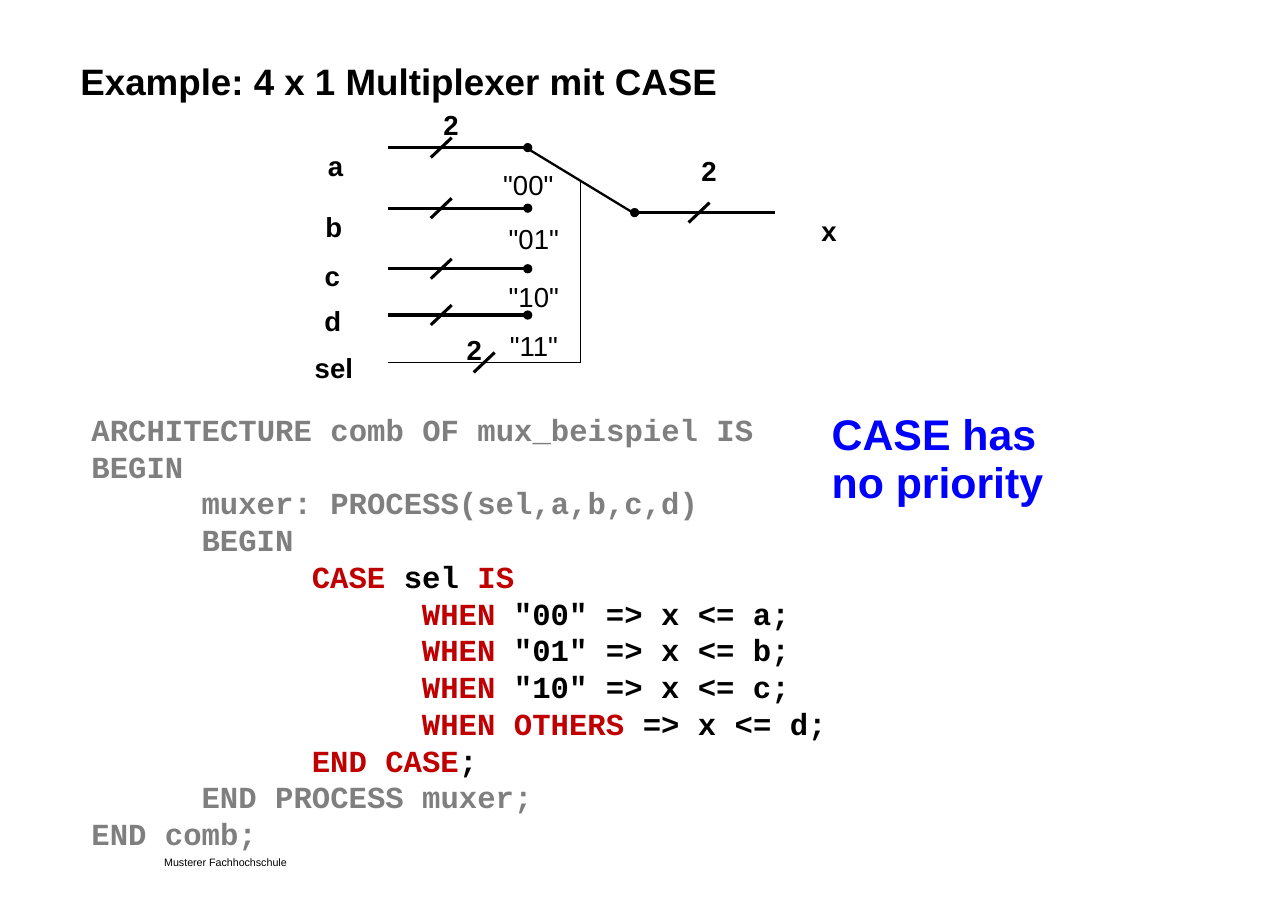
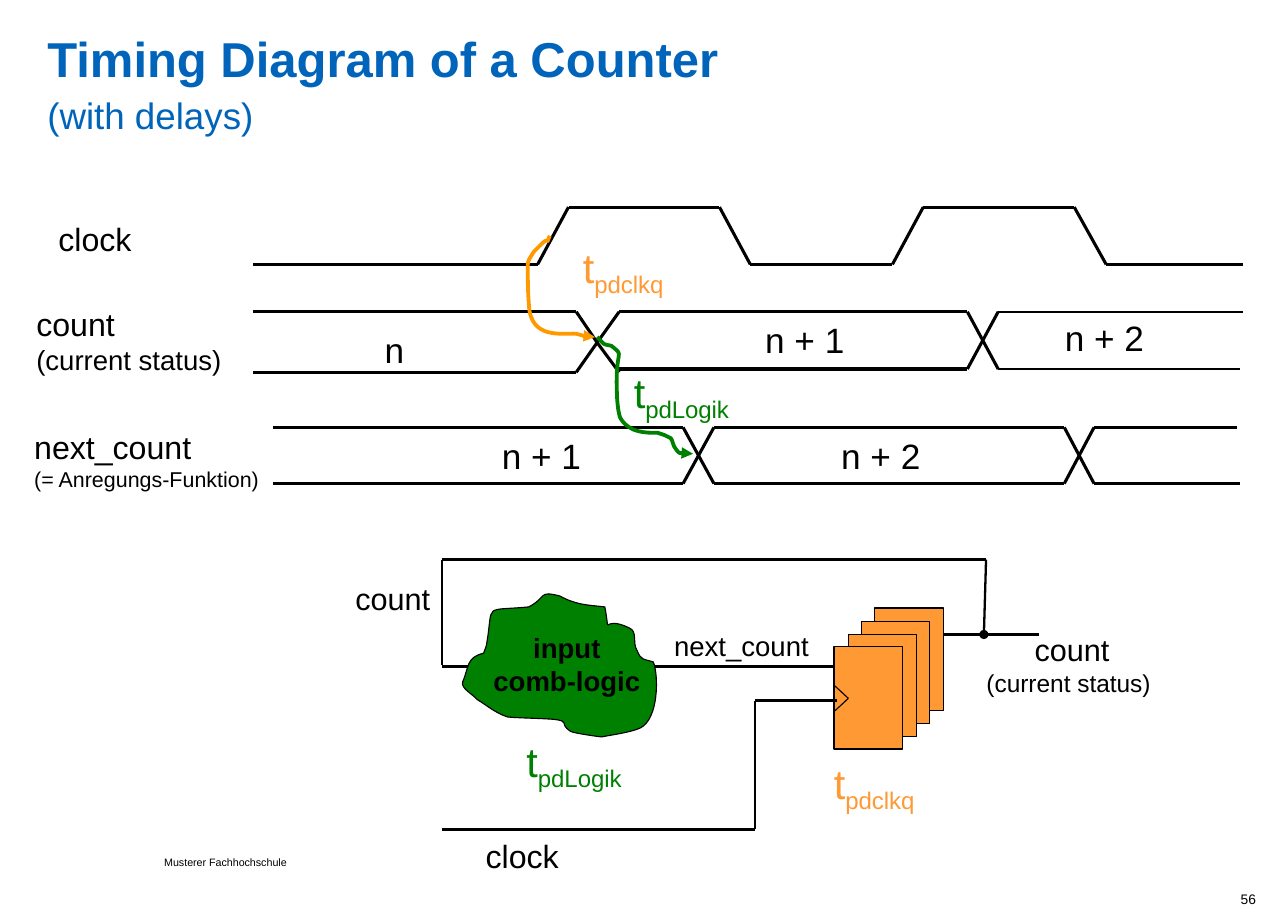
"""Build two lecture slides: a CASE multiplexer and a counter timing diagram."""
from dataclasses import dataclass
from itertools import pairwise
from typing import Optional

from lxml.etree import SubElement
from pptx import Presentation
from pptx.dml.color import RGBColor
from pptx.enum.shapes import MSO_CONNECTOR, MSO_SHAPE
from pptx.enum.text import MSO_ANCHOR, MSO_AUTO_SIZE, PP_ALIGN
from pptx.oxml.ns import qn
from pptx.presentation import Presentation as Deck
from pptx.shapes.base import BaseShape
from pptx.slide import Slide
from pptx.util import Inches, Pt

BLACK = RGBColor(0x00, 0x00, 0x00)
GRAY = RGBColor(0x7F, 0x7F, 0x7F)
RED = RGBColor(0xC0, 0x00, 0x00)
BLUE = RGBColor(0x00, 0x00, 0xFF)
TITLE_BLUE = RGBColor(0x00, 0x64, 0xBA)
GREEN = RGBColor(0x00, 0x80, 0x00)
ORANGE = RGBColor(0xFF, 0x99, 0x33)
ARROW_ORANGE = RGBColor(0xFF, 0x99, 0x00)

SANS = "Arial"
MONO = "Courier New"
LEFT, CENTER, RIGHT = PP_ALIGN.LEFT, PP_ALIGN.CENTER, PP_ALIGN.RIGHT
NO_INSET = (0, 0)
DEFAULT_INSET = (0.1, 0.05)

Point = tuple[float, float]
Box = tuple[float, float, float, float]
Curve = tuple[float, float, float, float, float, float]


@dataclass(frozen=True)
class Span:
    """A piece of text with one format; line ends split it."""
    text: str
    size: float
    color: RGBColor = BLACK
    bold: bool = False
    subscript: bool = False
    font: str = SANS


@dataclass(frozen=True)
class Label:
    """A text box."""
    box: Box
    spans: tuple[Span, ...]
    align: PP_ALIGN = CENTER
    spacing: Optional[float] = None
    wrap: bool = True
    grow: bool = True
    inset: Point = (0.11, 0.06)
    tabs: tuple[float, ...] = ()


@dataclass(frozen=True)
class Bus:
    """A bus waveform whose rails cross at each change of value."""
    top: float
    first_bottom: float
    bottom: float
    start: float
    crossings: tuple[Point, ...]
    ends: Point
    hub: Optional[Point] = None


def draw_label(slide: Slide, label: Label) -> None:
    """Draw a text box and format its runs."""
    shape = slide.shapes.add_textbox(*map(Inches, label.box))
    frame = shape.text_frame
    frame.word_wrap = label.wrap
    frame.auto_size = MSO_AUTO_SIZE.SHAPE_TO_FIT_TEXT if label.grow else MSO_AUTO_SIZE.NONE
    frame.vertical_anchor = MSO_ANCHOR.TOP
    frame.margin_left = frame.margin_right = Inches(label.inset[0])
    frame.margin_top = frame.margin_bottom = Inches(label.inset[1])
    paragraph = frame.paragraphs[0]
    paragraph.alignment = label.align
    if label.spacing:
        paragraph.line_spacing = Pt(label.spacing)
    if label.tabs:
        tab_list = SubElement(paragraph._p.get_or_add_pPr(), qn("a:tabLst"))
        for tab in label.tabs:
            SubElement(tab_list, qn("a:tab"), pos=str(Inches(tab)), algn="l")
    for span in label.spans:
        for index, line in enumerate(span.text.split("\n")):
            if index:
                paragraph.add_line_break()
            if not line:
                continue
            run = paragraph.add_run()
            run.text = line
            run.font.name = span.font
            run.font.size = Pt(span.size)
            run.font.bold = span.bold
            run.font.color.rgb = span.color
            if span.subscript:
                run._r.get_or_add_rPr().set("baseline", "-25000")


def style_line(shape: BaseShape, width: float, color: RGBColor = BLACK,
               head: str = "", tail: str = "") -> None:
    """Set colour, width and end marks of a line."""
    shape.line.color.rgb = color
    shape.line.width = Pt(width)
    for tag, kind in (("a:headEnd", head), ("a:tailEnd", tail)):
        if kind:
            SubElement(shape.line._get_or_add_ln(), qn(tag)).set("type", kind)


def draw_line(slide: Slide, start: Point, end: Point, width: float = 2,
              head: str = "", tail: str = "") -> None:
    """Draw a straight line."""
    connector = slide.shapes.add_connector(
        MSO_CONNECTOR.STRAIGHT, *map(Inches, (*start, *end)))
    style_line(connector, width, head=head, tail=tail)
    SubElement(connector._element.spPr, qn("a:effectLst"))


def draw_polyline(slide: Slide, points: tuple[Point, ...], width: float = 2) -> None:
    """Join points by straight lines."""
    for start, end in pairwise(points):
        draw_line(slide, start, end, width)


def draw_slash(slide: Slide, x: float, y: float) -> None:
    """Mark a wire as a bus with a slash."""
    draw_line(slide, (x + 0.09, y - 0.09), (x - 0.1, y + 0.09))


def draw_curve(slide: Slide, start: Point, curves: tuple[Curve, ...],
               closed: bool = False) -> BaseShape:
    """Draw an outline and bend its segments into cubic curves."""
    builder = slide.shapes.build_freeform(Inches(start[0]), Inches(start[1]))
    builder.add_line_segments([(Inches(curve[4]), Inches(curve[5])) for curve in curves],
                              close=closed)
    shape = builder.convert_to_shape()
    shape.shadow.inherit = False
    segments = list(shape._element.iter(qn("a:lnTo")))
    for segment, curve in zip(segments, curves):
        bend = segment.makeelement(qn("a:cubicBezTo"))
        for x, y in zip(curve[::2], curve[1::2]):
            SubElement(bend, qn("a:pt"), x=str(Inches(x) - shape.left),
                       y=str(Inches(y) - shape.top))
        segment.getparent().replace(segment, bend)
    return shape


def draw_arrow(slide: Slide, start: Point, curves: tuple[Curve, ...],
               color: RGBColor) -> None:
    """Draw a curved arrow."""
    arrow = draw_curve(slide, start, curves)
    arrow.fill.background()
    style_line(arrow, 2.5, color, tail="triangle")


def draw_bus(slide: Slide, bus: Bus) -> None:
    """Draw the rails and crossings of a bus waveform."""
    start, bottom, hub = bus.start, bus.first_bottom, bus.hub
    for left, right in bus.crossings:
        draw_line(slide, (start, bus.top), (left, bus.top))
        draw_line(slide, (start, bottom), (left, bottom))
        if hub:
            for corner in ((x, y) for x in (left, right) for y in (bus.top, bottom)):
                draw_line(slide, corner, hub)
        else:
            draw_line(slide, (left, bus.top), (right, bottom))
            draw_line(slide, (left, bottom), (right, bus.top))
        start, bottom, hub = right, bus.bottom, None
    for end, y in zip(bus.ends, (bus.top, bottom)):
        draw_line(slide, (start, y), (end, y), 1.5)


def new_slide(presentation: Deck, title_box: Box, title: tuple[Span, ...]) -> Slide:
    """Add a slide with the shared footer and title style."""
    slide = presentation.slides.add_slide(presentation.slide_layouts[6])
    draw_label(slide, Label((1.49, 7.79, 1.32, 0.1), (Span("Musterer Fachhochschule", 7),),
                            LEFT, 7, inset=NO_INSET))
    draw_label(slide, Label(title_box, title, LEFT, 32, grow=False, inset=NO_INSET))
    return slide


def delay(name: str, color: RGBColor, box: Box) -> Label:
    """Make a delay symbol with a subscript name."""
    return Label(box, (Span("t", 27, color), Span(name, 27, color, subscript=True)), wrap=False)


def code_spans() -> tuple[Span, ...]:
    """Make the coloured listing of the multiplexer."""
    pieces = [("ARCHITECTURE comb OF mux_beispiel IS\nBEGIN\n"
               "\tmuxer: PROCESS(sel,a,b,c,d)\n\tBEGIN\n\t\t", GRAY),
              ("CASE ", RED), ("sel ", BLACK), ("IS\n\t\t\t", RED)]
    for value, signal in (("00", "a"), ("01", "b"), ("10", "c")):
        pieces += [("WHEN ", RED), (f'"{value}" => x <= {signal};\n\t\t\t', BLACK)]
    pieces += [("WHEN OTHERS", RED), (" => x <= d;\n\t\t", BLACK), ("END CASE", RED),
               (";\n\t", BLACK), ("END PROCESS muxer;\nEND comb;", GRAY)]
    return tuple(Span(text, 20, color, True, font=MONO) for text, color in pieces)


def build_multiplexer(presentation: Deck) -> None:
    """Build the multiplexer slide."""
    slide = new_slide(presentation, (0.73, 0.49, 9.67, 0.87),
                      (Span("Example: 4 x 1 Multiplexer mit CASE", 24, bold=True),))
    draw_label(slide, Label((0.72, 3.67, 9.95, 4.15), code_spans(), LEFT, tabs=(1, 2, 3)))
    for y in (1.34, 1.89, 2.44, 2.86):
        draw_line(slide, (3.52, y), (4.79, y), tail="oval")
        draw_slash(slide, 4.01, y)
    draw_line(slide, (5.76, 1.93), (7.03, 1.93), head="oval")
    draw_slash(slide, 6.35, 1.93)
    draw_line(slide, (4.79, 1.35), (5.76, 1.94), 1.5)
    draw_polyline(slide, ((3.52, 3.29), (5.27, 3.29), (5.27, 1.63)), 0.75)
    draw_slash(slide, 4.4, 3.29)
    for text, left, top, width in (
            ("a", 2.86, 1.15, 0.37), ("b", 2.84, 1.7, 0.38), ("c", 2.83, 2.15, 0.37),
            ("d", 2.83, 2.56, 0.38), ("sel", 2.74, 2.98, 0.58), ("x", 7.34, 1.74, 0.37),
            ("2", 3.91, 0.78, 0.37), ("2", 4.12, 2.82, 0.37), ("2", 6.25, 1.19, 0.37)):
        draw_label(slide, Label((left, top, width, 0.57), (Span(text, 18, bold=True),),
                                spacing=32, wrap=False))
    for value, left, top in (("00", 4.45, 1.32), ("01", 4.5, 1.81),
                             ("10", 4.5, 2.34), ("11", 4.5, 2.78)):
        draw_label(slide, Label((left, top, 0.69, 0.54), (Span(f'"{value}"', 18),),
                                spacing=32, wrap=False))
    draw_label(slide, Label((7.45, 3.67, 2.19, 1), (Span("CASE has \nno priority", 28, BLUE, True),),
                            LEFT, 32, wrap=False, inset=DEFAULT_INSET))


def draw_waveforms(slide: Slide) -> None:
    """Draw the clock, the buses and the delay arrows."""
    draw_polyline(slide, ((2.3, 2.4), (4.88, 2.4), (5.16, 1.88), (6.53, 1.88), (6.81, 2.4),
                          (8.1, 2.4), (8.38, 1.88), (9.75, 1.88), (10.04, 2.4), (11.28, 2.4)))
    draw_bus(slide, Bus(2.83, 3.38, 3.35, 2.3, ((5.23, 5.62), (8.78, 9.06)), (11.28, 11.25),
                        hub=(5.42, 3.11)))
    draw_bus(slide, Bus(3.88, 4.39, 4.39, 2.48, ((6.2, 6.48), (9.66, 9.93)), (11.23, 11.25)))
    draw_arrow(slide, (4.99, 2.14), (
        (4.94, 2.26, 5.01, 2.12, 4.91, 2.22), (4.89, 2.24, 4.87, 2.26, 4.85, 2.28),
        (4.84, 2.29, 4.83, 2.31, 4.83, 2.31), (4.81, 2.34, 4.79, 2.37, 4.79, 2.4),
        (4.79, 2.52, 4.79, 2.64, 4.8, 2.76), (4.81, 3.09, 5.11, 3.02, 5.23, 3.03),
        (5.26, 3.04, 5.28, 3.04, 5.3, 3.05), (5.33, 3.05, 5.4, 3.06, 5.4, 3.06)), ARROW_ORANGE)
    draw_arrow(slide, (5.42, 3.06), (
        (5.5, 3.14, 5.46, 3.12, 5.55, 3.14), (5.68, 3.25, 5.58, 3.14, 5.6, 3.58),
        (5.6, 3.61, 5.61, 3.78, 5.64, 3.81), (5.72, 3.93, 5.86, 3.93, 5.97, 3.93),
        (5.99, 3.94, 6.01, 3.94, 6.03, 3.95), (6.05, 3.96, 6.09, 3.98, 6.09, 3.98),
        (6.11, 4.01, 6.11, 4.05, 6.13, 4.07), (6.17, 4.13, 6.24, 4.12, 6.29, 4.12)), GREEN)


def draw_circuit(slide: Slide) -> None:
    """Draw the logic cloud, the flip-flops and their wires."""
    draw_line(slide, (7.57, 6.05), (4.01, 6.05))
    cloud = draw_curve(slide, (4.61, 6.51), (
        (4.49, 6.47, 4.43, 6.41, 4.33, 6.35), (4.29, 6.3, 4.18, 6.25, 4.2, 6.19),
        (4.26, 6.05, 4.23, 5.97, 4.39, 5.93), (4.4, 5.9, 4.42, 5.86, 4.42, 5.83),
        (4.48, 5.47, 4.38, 5.55, 4.8, 5.51), (4.97, 5.42, 4.88, 5.36, 5.08, 5.41),
        (5.23, 5.49, 5.31, 5.49, 5.49, 5.51), (5.55, 5.82, 5.44, 5.57, 5.71, 5.7),
        (5.79, 5.73, 5.74, 5.84, 5.78, 5.9), (5.82, 6, 5.84, 5.98, 5.93, 6.01),
        (5.98, 6.13, 5.98, 6.53, 5.81, 6.61), (5.72, 6.65, 5.56, 6.67, 5.46, 6.69),
        (5.46, 6.69, 5.22, 6.66, 5.18, 6.64), (5.06, 6.56, 5.19, 6.55, 5.02, 6.53),
        (4.88, 6.52, 4.75, 6.52, 4.61, 6.51)), closed=True)
    cloud.fill.solid()
    cloud.fill.fore_color.rgb = GREEN
    style_line(cloud, 0.75)
    for left, top in ((7.94, 5.52), (7.82, 5.64), (7.7, 5.76), (7.57, 5.87)):
        flip_flop = slide.shapes.add_shape(
            MSO_SHAPE.RECTANGLE, *map(Inches, (left, top, 0.62, 0.93)))
        flip_flop.shadow.inherit = False
        flip_flop.fill.solid()
        flip_flop.fill.fore_color.rgb = ORANGE
        style_line(flip_flop, 0.75)
    draw_polyline(slide, ((7.57, 6.22), (7.7, 6.34), (7.57, 6.46)), 0.75)
    draw_line(slide, (8.56, 5.76), (9.43, 5.76), 1.5)
    draw_polyline(slide, ((4.01, 6.04), (4.01, 5.08), (8.95, 5.08)), 1.5)
    draw_line(slide, (8.95, 5.08), (8.93, 5.76), 1.5, tail="oval")
    draw_polyline(slide, ((7.6, 6.36), (6.85, 6.36), (6.85, 7.53), (4.01, 7.53)), 1.5)


def build_timing(presentation: Deck) -> None:
    """Build the timing diagram slide."""
    slide = new_slide(presentation, (0.43, 0.35, 9.94, 1.01), (
        Span("Timing Diagram of a Counter\n", 32, TITLE_BLUE, True),
        Span("(with delays)", 24, TITLE_BLUE)))
    draw_waveforms(slide)
    draw_circuit(slide)
    for text, left, top, width in (
            ("n", 3.35, 2.92, 0.46), ("n + 1", 6.57, 2.83, 1.47), ("n + 2", 9.29, 2.81, 1.47),
            ("n + 1", 4.18, 3.88, 1.47), ("n + 2", 7.26, 3.88, 1.47)):
        draw_label(slide, Label((left, top, width, 0.48), (Span(text, 23),)))
    for label in (
            Label((10.07, 8.09, 1.33, 0.15), (Span("56", 9),), RIGHT, grow=False, inset=NO_INSET),
            Label((0.42, 1.93, 1.27, 0.47), (Span("clock", 21),), LEFT),
            Label((0.22, 2.7, 3.73, 0.77), (Span("count\n", 21), Span("(current status)", 18)), LEFT),
            Label((0.2, 3.82, 3.32, 0.7),
                  (Span("next_count\n", 21), Span("(= Anregungs-Funktion)", 14)), LEFT),
            delay("pdclkq", ORANGE, (5.11, 2.14, 1.09, 0.55)),
            delay("pdLogik", GREEN, (5.56, 3.27, 1.25, 0.55)),
            delay("pdLogik", GREEN, (4.37, 6.62, 1.68, 0.74)),
            delay("pdclkq", ORANGE, (7.2, 6.82, 1.47, 0.74)),
            Label((5.8, 5.65, 1.86, 0.42), (Span("next_count", 18),)),
            Label((8.7, 5.67, 2.06, 0.72), (Span("count\n", 20), Span("(current status) ", 16))),
            Label((3.89, 7.53, 1.7, 0.47), (Span("clock", 21),)),
            Label((2.89, 5.2, 1.35, 0.45), (Span("count", 20),)),
            Label((4.37, 5.68, 1.55, 0.71), (Span("input\ncomb-logic", 18, bold=True),),
                  wrap=False, inset=DEFAULT_INSET)):
        draw_label(slide, label)


def main() -> None:
    """Build and save the presentation."""
    presentation = Presentation()
    presentation.slide_width = Inches(11.69)
    presentation.slide_height = Inches(8.27)
    build_multiplexer(presentation)
    build_timing(presentation)
    presentation.save("out.pptx")


main()
